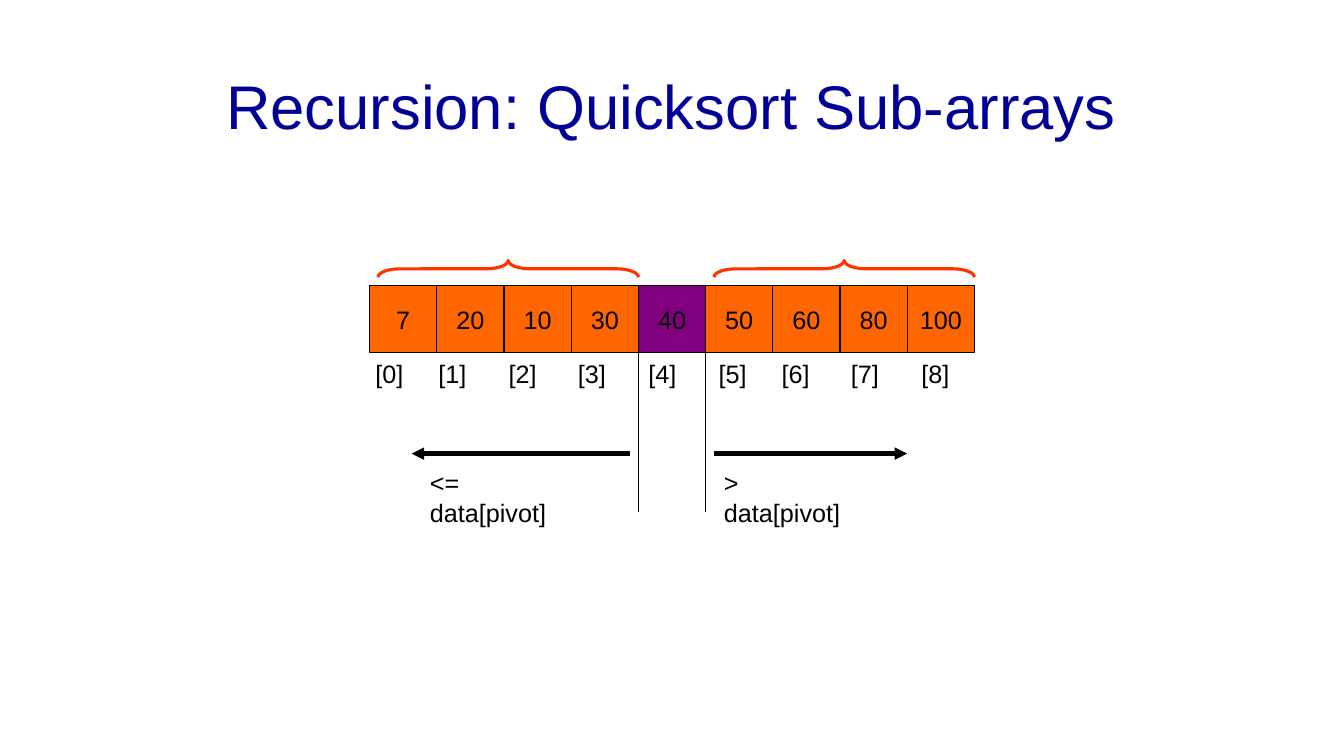
from dataclasses import dataclass

from lxml import etree
from pptx import Presentation
from pptx.dml.color import RGBColor
from pptx.enum.shapes import MSO_CONNECTOR, MSO_SHAPE
from pptx.enum.text import MSO_ANCHOR, PP_ALIGN
from pptx.oxml.ns import qn
from pptx.util import Emu, Pt

RECT, BRACE = MSO_SHAPE.RECTANGLE, MSO_SHAPE.LEFT_BRACE
STRAIGHT = MSO_CONNECTOR.STRAIGHT
MIDDLE = MSO_ANCHOR.MIDDLE
LEFT, CENTER = PP_ALIGN.LEFT, PP_ALIGN.CENTER

SCALE = 9525  # EMU per px, 96 px to the inch
FONT = "Arial"
BLACK, NAVY, ORANGE, PURPLE, RED = "000000", "000099", "FF6600", "800080", "FF3300"

CELL, ROW_X, ROW_Y = 64, 352, 272
DATA = (7, 20, 10, 30, 40, 50, 60, 80, 100)
PIVOT = 4
TABS = (60, 127, 193, 260, 327, 387, 453, 520)  # index labels after the first


@dataclass(frozen=True)
class Rule:
    x1: int
    y1: int
    x2: int
    y2: int
    width: float
    arrow: bool = False


@dataclass(frozen=True)
class Label:
    text: str
    x: int
    y: int
    w: int
    tabs: tuple[int, ...] = ()


PIVOT_X = ROW_X + PIVOT * CELL
RULES = (
    Rule(PIVOT_X, ROW_Y, PIVOT_X, 488, 0.75),
    Rule(PIVOT_X + CELL, ROW_Y, PIVOT_X + CELL, 488, 0.75),
    Rule(600, 432, 392, 432, 3, True),
    Rule(680, 432, 864, 432, 3, True),
)
LABELS = (
    Label("<= data[pivot]", 400, 440, 157),
    Label("> data[pivot]", 680, 440, 145),
    Label("\t".join(f"[{i}]" for i in range(len(DATA))), 348, 337, 584, TABS),
)
BRACES = (360, 680)  # left ends
SPAN, DEPTH, BRACE_Y = 248, 16, 248


def px(n: int) -> Emu:
    return Emu(n * SCALE)


def color(code: str) -> RGBColor:
    return RGBColor.from_string(code)


def write(frame, text: str, size: int, code: str, align=LEFT, tabs=()) -> None:
    frame.text = text
    par = frame.paragraphs[0]
    par.alignment = align
    if tabs:
        stops = etree.SubElement(par._p.get_or_add_pPr(), qn("a:tabLst"))
        for pos in tabs:
            etree.SubElement(stops, qn("a:tab"), pos=str(px(pos)), algn="l")
    par.font.name, par.font.size = FONT, Pt(size)
    par.font.color.rgb = color(code)


def stroke(line, code: str, width: float) -> None:
    line.color.rgb = color(code)
    line.width = Pt(width)


def draw_title(slide, text: str) -> None:
    title = slide.shapes.title
    title.left, title.top, title.width, title.height = map(px, (42, 40, 1195, 120))
    title.text_frame.vertical_anchor = MIDDLE
    write(title.text_frame, text, 44, NAVY, CENTER)


def draw_cell(slide, i: int, value: int) -> None:
    cell = slide.shapes.add_shape(
        RECT, px(ROW_X + i * CELL), px(ROW_Y), px(CELL), px(CELL))
    cell.shadow.inherit = False
    cell.fill.solid()
    cell.fill.fore_color.rgb = color(PURPLE if i == PIVOT else ORANGE)
    stroke(cell.line, BLACK, 0.75)
    cell.text_frame.word_wrap = False
    cell.text_frame.vertical_anchor = MIDDLE
    write(cell.text_frame, str(value), 18, BLACK, CENTER)


def draw_rule(slide, rule: Rule) -> None:
    line = slide.shapes.add_connector(
        STRAIGHT, px(rule.x1), px(rule.y1), px(rule.x2), px(rule.y2))
    stroke(line.line, BLACK, rule.width)
    if rule.arrow:
        etree.SubElement(line.line._get_or_add_ln(), qn("a:tailEnd"), type="triangle")
    etree.SubElement(line._element.spPr, qn("a:effectLst"))


def draw_label(slide, label: Label) -> None:
    box = slide.shapes.add_textbox(px(label.x), px(label.y), px(label.w), px(38))
    box.text_frame.word_wrap = True
    write(box.text_frame, label.text, 18, BLACK, tabs=label.tabs)


def draw_brace(slide, x: int) -> None:
    # Upright brace about the same centre, then turned to point up
    left = x + (SPAN - DEPTH) // 2
    top = BRACE_Y + (DEPTH - SPAN) // 2
    brace = slide.shapes.add_shape(BRACE, px(left), px(top), px(DEPTH), px(SPAN))
    brace.rotation = 90
    brace.adjustments[0] = 1.29
    brace.shadow.inherit = False
    brace.fill.background()
    stroke(brace.line, RED, 2.25)


def main() -> None:
    deck = Presentation()
    deck.slide_width, deck.slide_height = px(1280), px(720)
    slide = deck.slides.add_slide(deck.slide_layouts[5])
    draw_title(slide, "Recursion: Quicksort Sub-arrays")

    # Array row
    for i, value in enumerate(DATA):
        draw_cell(slide, i, value)

    # Pivot bounds and arrows
    for rule in RULES:
        draw_rule(slide, rule)

    # Braces over the sub-arrays
    for x in BRACES:
        draw_brace(slide, x)

    # Side and index labels
    for label in LABELS:
        draw_label(slide, label)

    deck.save("out.pptx")


if __name__ == "__main__":
    main()
